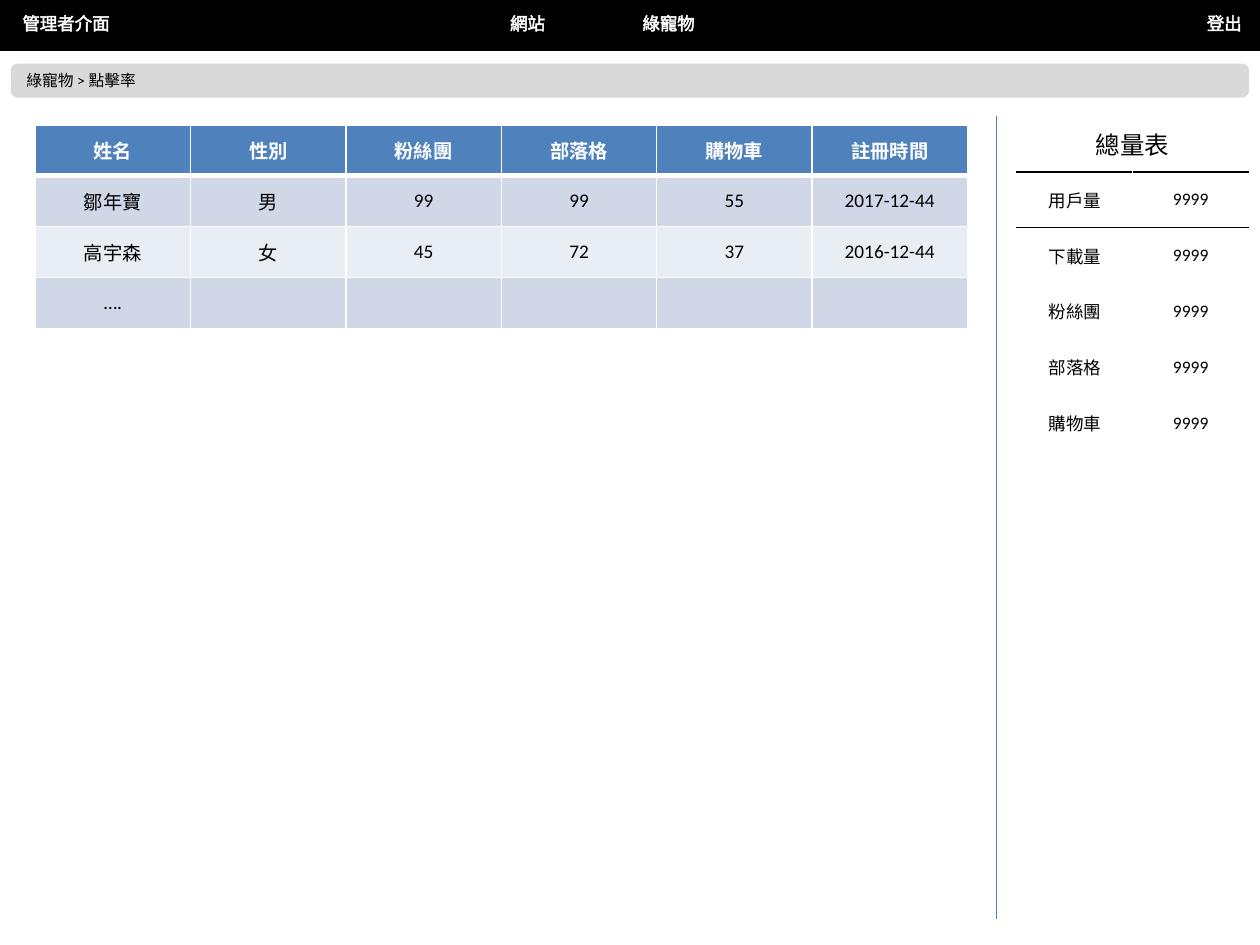
from dataclasses import dataclass
from lxml import etree
from pptx import Presentation
from pptx.dml.color import RGBColor
from pptx.enum import shapes, text
from pptx.oxml import ns
from pptx.util import Inches, Pt


@dataclass(frozen=True)
class Theme:
    font: str = "Calibri"
    black: str = "000000"
    white: str = "FFFFFF"
    gray: str = "D9D9D9"
    rule: str = "4B7EBC"
    head: str = "4F81BD"
    bands: tuple = ("D0D8E8", "E9EDF4")
    small: int = 9
    body: int = 10
    cell: int = 11
    title: int = 14


def write(frame, words, size, color, bold=False, align=text.PP_ALIGN.LEFT):
    frame.text = words
    para = frame.paragraphs[0]
    para.alignment = align
    for run in para.runs:
        run.font.name = theme.font
        run.font.size = Pt(size)
        run.font.bold = bold
        run.font.color.rgb = RGBColor.from_string(color)


def stroke(parent, tag, color, width, spot):
    line = etree.Element(ns.qn(tag), w=str(Pt(width)))
    fill = etree.SubElement(line, ns.qn("a:solidFill"))
    etree.SubElement(fill, ns.qn("a:srgbClr"), val=color)
    parent.insert(spot, line)


theme = Theme()
deck = Presentation()
deck.slide_width, deck.slide_height = Inches(10), Inches(7.5)
slide = deck.slides.add_slide(deck.slide_layouts[6])
items = slide.shapes
center = text.PP_ALIGN.CENTER
middle = text.MSO_ANCHOR.MIDDLE

bars = [
    (shapes.MSO_SHAPE.RECTANGLE, 0, 0, 10, 0.39, theme.black),
    (shapes.MSO_SHAPE.ROUNDED_RECTANGLE, 0.1, 0.52, 9.8, 0.24, theme.gray),
]
for kind, left, top, width, height, color in bars:
    bar = items.add_shape(kind, Inches(left), Inches(top), Inches(width), Inches(height))
    bar.shadow.inherit = False
    bar.fill.solid()
    bar.fill.fore_color.rgb = RGBColor.from_string(color)
    bar.line.color.rgb = RGBColor.from_string(color)
    bar.line.width = Pt(2)
write(bar.text_frame, "綠寵物 > 點擊率", theme.small, theme.black)
bar.text_frame.vertical_anchor = middle

menu = [
    ("管理者介面", 0.08, 0.9),
    ("登出", 9.48, 0.48),
    ("網站", 3.95, 0.48),
    ("綠寵物", 5, 0.62),
]
for words, left, width in menu:
    box = items.add_textbox(Inches(left), Inches(0.05), Inches(width), Inches(0.27))
    frame = box.text_frame
    frame.word_wrap = False
    frame.auto_size = text.MSO_AUTO_SIZE.SHAPE_TO_FIT_TEXT
    write(frame, words, theme.body, theme.white)
    stroke(frame.paragraphs[0].runs[0]._r.get_or_add_rPr(), "a:ln", theme.white, 0.75, 0)

rule = items.add_connector(
    shapes.MSO_CONNECTOR.STRAIGHT, Inches(7.91), Inches(0.92), Inches(7.91), Inches(7.29)
)
rule.line.color.rgb = RGBColor.from_string(theme.rule)
rule.line.width = Pt(0.75)
etree.SubElement(rule._element.spPr, ns.qn("a:effectLst"))

names = ["用戶量", "下載量", "粉絲團", "部落格", "購物車"]
totals = [["總量表", ""]] + [[name, "9999"] for name in names]
grid = items.add_table(
    len(totals), 2, Inches(8.07), Inches(0.92), Inches(1.84), Inches(2.66)
).table
grid.first_row = grid.horz_banding = False
grid.cell(0, 0).merge(grid.cell(0, 1))
for r, row in enumerate(totals):
    for c, words in enumerate(row):
        cell = grid.cell(r, c)
        cell.vertical_anchor = middle
        size = theme.body if r else theme.title
        write(cell.text_frame, words, size, theme.black, align=center)
        cell.fill.background()
        props = cell._tc.get_or_add_tcPr()
        if r in (0, 1):
            stroke(props, "a:lnB", theme.black, 1, 0)
        if r in (1, 2):
            stroke(props, "a:lnT", theme.black, 1, 0)

users = [
    ["姓名", "性別", "粉絲團", "部落格", "購物車", "註冊時間"],
    ["鄒年寶", "男", "99", "99", "55", "2017-12-44"],
    ["高宇森", "女", "45", "72", "37", "2016-12-44"],
    ["….", "", "", "", "", ""],
]
grid = items.add_table(
    len(users), 6, Inches(0.28), Inches(0.99), Inches(7.4), Inches(1.62)
).table
for r, row in enumerate(users):
    fill = theme.bands[(r - 1) % 2] if r else theme.head
    color = theme.black if r else theme.white
    for c, words in enumerate(row):
        cell = grid.cell(r, c)
        cell.vertical_anchor = middle
        write(cell.text_frame, words, theme.cell, color, r == 0, center)
        cell.fill.solid()
        cell.fill.fore_color.rgb = RGBColor.from_string(fill)
        props = cell._tc.get_or_add_tcPr()
        for spot, side in enumerate("LRTB"):
            thick = (r, side) in ((0, "B"), (1, "T"))
            stroke(props, "a:ln" + side, theme.white, 3 if thick else 1, spot)

deck.save("out.pptx")
